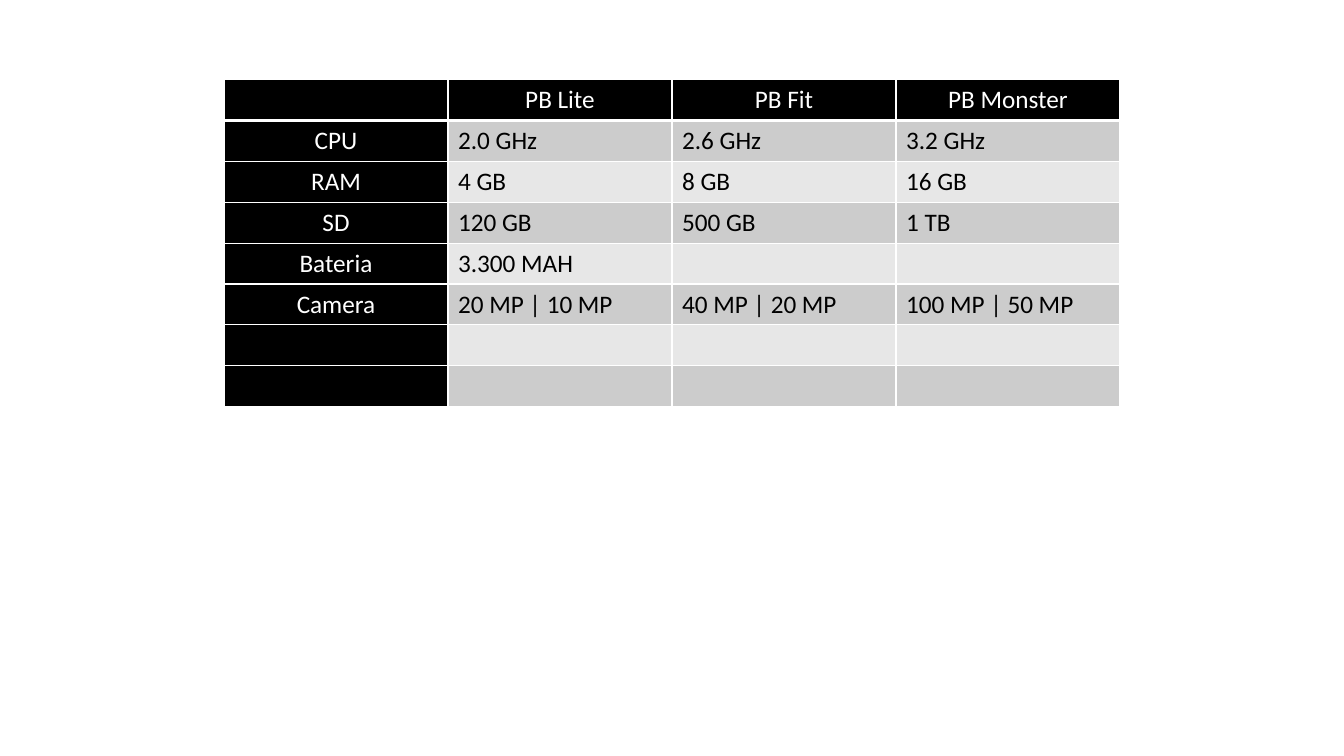
"""Build a slide comparing the specifications of three phone models."""
from lxml.etree import SubElement
from pptx import Presentation
from pptx.dml.color import RGBColor
from pptx.enum.text import MSO_ANCHOR, PP_ALIGN
from pptx.oxml.ns import qn
from pptx.util import Inches, Pt

SPECS = [
    ("", "PB Lite", "PB Fit", "PB Monster"),
    ("CPU", "2.0 GHz", "2.6 GHz", "3.2 GHz"),
    ("RAM", "4 GB", "8 GB", "16 GB"),
    ("SD", "120 GB", "500 GB", "1 TB"),
    ("Bateria", "3.300 MAH", "", ""),
    ("Camera", "20 MP | 10 MP", "40 MP | 20 MP", "100 MP | 50 MP"),
    ("", "", "", ""),
    ("", "", "", ""),
]
COLORS = {"header": "000000", "odd": "CCCCCC", "even": "E7E7E7",
          "light": "FFFFFF", "dark": "000000"}
FONT = {"name": "Calibri", "size": Pt(18), "bold": False}
WIDTH, HEIGHT = Inches(13.33), Inches(7.5)
COLUMN_WIDTH = WIDTH // 6
ROW_HEIGHT = Inches(0.405)
TABLE_TOP = Inches(0.79)


def add_borders(cell, is_top_row):
    """Draw the white grid, with a heavier rule under the top row."""
    properties = cell._tc.get_or_add_tcPr()
    for side in "LRTB":
        width = Pt(3 if is_top_row and side == "B" else 1)
        line = SubElement(properties, qn(f"a:ln{side}"), w=str(width))
        fill = SubElement(line, qn("a:solidFill"))
        SubElement(fill, qn("a:srgbClr"), val=COLORS["light"])


def format_cell(cell, text, row, column):
    """Fill one cell and style it as a header or a value."""
    is_header = row == 0 or column == 0
    shade = "header" if is_header else "odd" if row % 2 else "even"
    add_borders(cell, row == 0)
    cell.fill.solid()
    cell.fill.fore_color.rgb = RGBColor.from_string(COLORS[shade])
    cell.vertical_anchor = MSO_ANCHOR.TOP
    para = cell.text_frame.paragraphs[0]
    para.alignment = PP_ALIGN.CENTER if is_header else PP_ALIGN.LEFT
    if text:
        span = para.add_run()
        span.text = text
        for name, value in FONT.items():
            setattr(span.font, name, value)
        ink = COLORS["light" if is_header else "dark"]
        span.font.color.rgb = RGBColor.from_string(ink)


def main():
    """Lay out the table and save the deck."""
    deck = Presentation()
    deck.slide_width, deck.slide_height = WIDTH, HEIGHT
    page = deck.slides.add_slide(deck.slide_layouts[6])
    rows, columns = len(SPECS), len(SPECS[0])
    table_width = columns * COLUMN_WIDTH
    table = page.shapes.add_table(
        rows, columns, (WIDTH - table_width) // 2, TABLE_TOP,
        table_width, rows * ROW_HEIGHT).table
    for row, texts in enumerate(SPECS):
        for column, text in enumerate(texts):
            format_cell(table.cell(row, column), text, row, column)
    deck.save("out.pptx")


if __name__ == "__main__":
    main()
